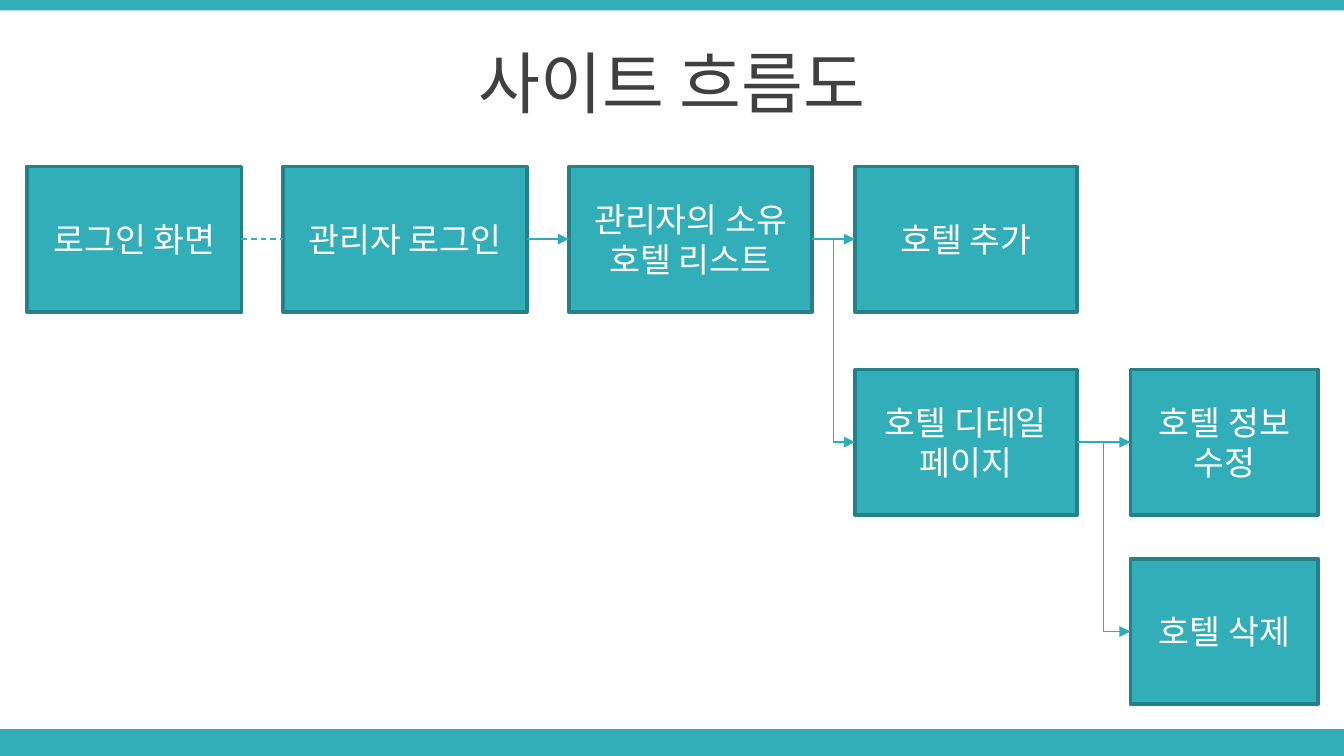
from dataclasses import dataclass

from lxml import etree
from pptx import Presentation
from pptx.dml.color import RGBColor
from pptx.enum import dml, shapes, text
from pptx.oxml import ns
from pptx.shapes.autoshape import Shape
from pptx.shapes.connector import Connector
from pptx.slide import Slide
from pptx.util import Pt


@dataclass(frozen=True)
class Theme:
    teal: RGBColor = RGBColor(0x32, 0xAE, 0xB8)
    border: RGBColor = RGBColor(0x25, 0x81, 0x88)
    arrow: RGBColor = RGBColor(0x2E, 0xAD, 0xB7)
    heading: RGBColor = RGBColor(0x40, 0x40, 0x40)
    white: RGBColor = RGBColor(0xFF, 0xFF, 0xFF)
    latin: str = "Arial"
    korean: str = "Noto Sans CJK KR"
    heading_size: float = 36
    step_size: float = 18
    border_width: float = 2
    arrow_width: float = 0.75


@dataclass(frozen=True)
class Column:
    left: float
    width: float


@dataclass(frozen=True)
class Step:
    key: str
    column: int
    row: int
    lines: tuple[str, ...]


@dataclass(frozen=True)
class Link:
    source: str
    target: str
    bent: bool = False
    dashed: bool = False


THEME = Theme()
SLIDE_WIDTH, SLIDE_HEIGHT = 720, 405
STEP_HEIGHT = 77.8
COLUMNS = (
    Column(14.4, 115),
    Column(151.8, 130.4),
    Column(304.8, 130.4),
    Column(458, 118.8),
    Column(605.6, 100.6),
)
ROW_TOPS = (89.2, 198, 299.4)

STEPS = (
    Step("login", 0, 0, ("로그인 화면",)),
    Step("admin", 1, 0, ("관리자 로그인",)),
    Step("list", 2, 0, ("관리자의 소유", "호텔 리스트")),
    Step("add", 3, 0, ("호텔 추가",)),
    Step("detail", 3, 1, ("호텔 디테일", "페이지")),
    Step("edit", 4, 1, ("호텔 정보 수정",)),
    Step("delete", 4, 2, ("호텔 삭제",)),
)
LINKS = (
    Link("login", "admin", dashed=True),
    Link("admin", "list"),
    Link("list", "add"),
    Link("list", "detail", bent=True),
    Link("detail", "edit"),
    Link("detail", "delete", bent=True),
)


def write_lines(shape: Shape, lines: tuple[str, ...], size: float,
                color: RGBColor, latin: str) -> None:
    """Fill a shape with centred paragraphs, one per line."""
    frame = shape.text_frame
    frame.word_wrap = True
    frame.vertical_anchor = text.MSO_ANCHOR.MIDDLE
    for index, line in enumerate(lines):
        paragraph = frame.add_paragraph() if index else frame.paragraphs[0]
        paragraph.alignment = text.PP_ALIGN.CENTER
        run = paragraph.add_run()
        run.text = line
        run.font.size = Pt(size)
        run.font.color.rgb = color
        run.font.name = latin
        east_asian = etree.SubElement(run.font._element, ns.qn("a:ea"))
        east_asian.set("typeface", THEME.korean)


def add_box(slide: Slide, left: float, top: float, width: float, height: float) -> Shape:
    box = slide.shapes.add_shape(shapes.MSO_SHAPE.RECTANGLE,
                                 Pt(left), Pt(top), Pt(width), Pt(height))
    box.shadow.inherit = False
    box.fill.solid()
    box.fill.fore_color.rgb = THEME.teal
    box.line.fill.background()
    return box


def add_heading(slide: Slide, heading: str) -> None:
    box = slide.shapes.add_textbox(Pt(0), Pt(20.9), Pt(SLIDE_WIDTH), Pt(45.4))
    write_lines(box, (heading,), THEME.heading_size, THEME.heading, THEME.korean)


def add_step(slide: Slide, step: Step) -> Shape:
    column = COLUMNS[step.column]
    box = add_box(slide, column.left, ROW_TOPS[step.row], column.width, STEP_HEIGHT)
    box.line.color.rgb = THEME.border
    box.line.width = Pt(THEME.border_width)
    write_lines(box, step.lines, THEME.step_size, THEME.white, THEME.latin)
    return box


def add_link(slide: Slide, link: Link, boxes: dict[str, Shape]) -> Connector:
    """Join the right side of one step to the left side of another."""
    kind = shapes.MSO_CONNECTOR.ELBOW if link.bent else shapes.MSO_CONNECTOR.STRAIGHT
    connector = slide.shapes.add_connector(kind, Pt(0), Pt(0), Pt(0), Pt(0))
    connector.begin_connect(boxes[link.source], 3)
    connector.end_connect(boxes[link.target], 1)
    connector.line.width = Pt(THEME.arrow_width)
    if link.dashed:
        connector.line.color.rgb = THEME.teal
        connector.line.dash_style = dml.MSO_LINE.DASH
    else:
        connector.line.color.rgb = THEME.arrow
        head = etree.SubElement(connector.line._get_or_add_ln(), ns.qn("a:tailEnd"))
        head.set("type", "triangle")
    etree.SubElement(connector._element.spPr, ns.qn("a:effectLst"))
    return connector


def main() -> None:
    deck = Presentation()
    deck.slide_width, deck.slide_height = Pt(SLIDE_WIDTH), Pt(SLIDE_HEIGHT)
    slide = deck.slides.add_slide(deck.slide_layouts[6])

    add_box(slide, 0, 390.6, SLIDE_WIDTH, 14.4)
    add_box(slide, 0, 0, SLIDE_WIDTH, 5.6)
    add_heading(slide, "사이트 흐름도")
    boxes = {step.key: add_step(slide, step) for step in STEPS}
    for link in LINKS:
        add_link(slide, link, boxes)

    deck.save("out.pptx")


if __name__ == "__main__":
    main()
